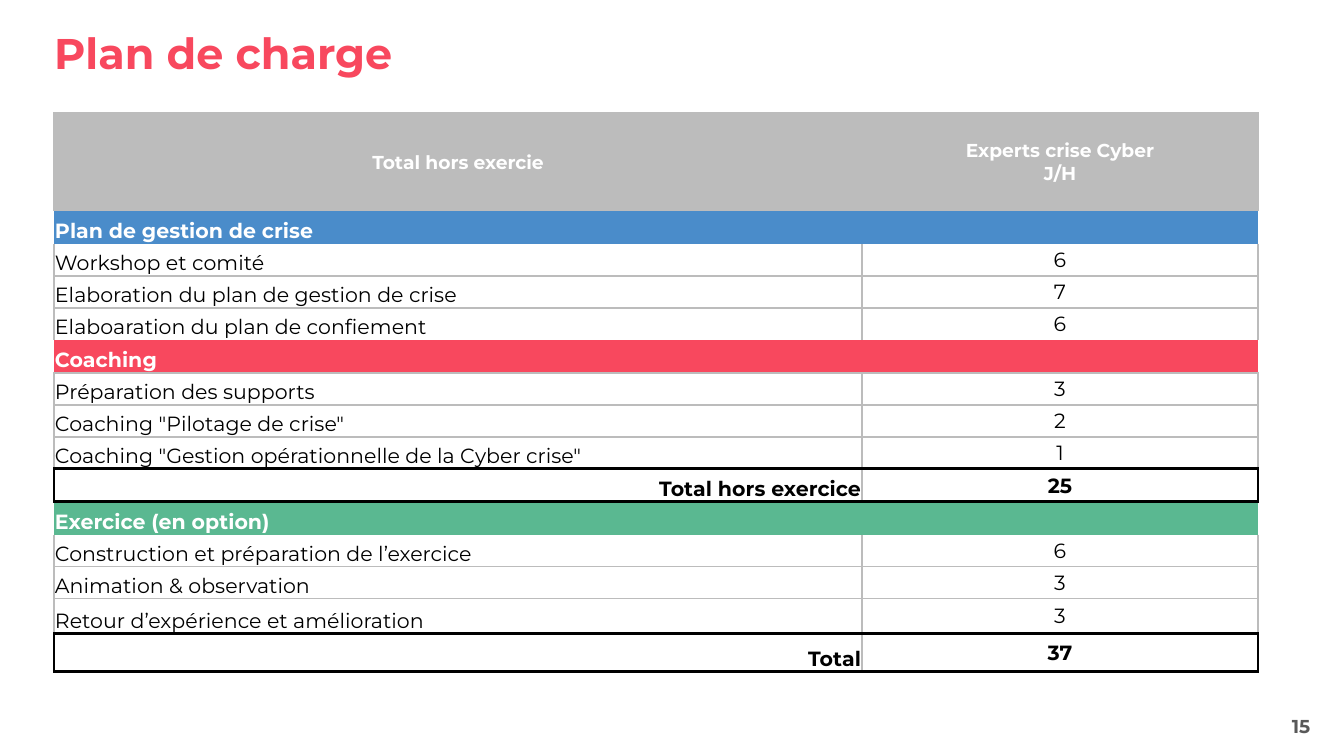
from dataclasses import dataclass

from lxml import etree
from pptx import Presentation
from pptx.dml.color import RGBColor
from pptx.enum.text import MSO_ANCHOR, MSO_AUTO_SIZE, PP_ALIGN
from pptx.oxml.ns import qn
from pptx.util import Pt

LEFT, MID, RIGHT = PP_ALIGN.LEFT, PP_ALIGN.CENTER, PP_ALIGN.RIGHT
TOP, CENTER, BOTTOM = MSO_ANCHOR.TOP, MSO_ANCHOR.MIDDLE, MSO_ANCHOR.BOTTOM
FIXED = MSO_AUTO_SIZE.NONE
SCALE = 914400 / 134.4
TITLE_ONLY = 5


def px(n):
    return round(n * SCALE)


@dataclass(frozen=True)
class Theme:
    font: str = "Montserrat"
    red: str = "F8485E"
    blue: str = "4A8CCA"
    green: str = "5AB891"
    gray: str = "BCBCBC"
    dark: str = "595959"
    black: str = "000000"
    white: str = "FFFFFF"
    big: int = 23
    body: int = 11
    small: int = 10


@dataclass(frozen=True)
class Row:
    kind: str
    label: str
    days: str = ""
    high: int = 32
    fill: str = ""
    ruled: bool = False


THEME = Theme()


def head(label, days):
    return Row("head", label, days, 98, THEME.gray)


def part(label, fill, ruled=False):
    return Row("part", label, "", 33, fill, ruled)


def task(label, days, high=32):
    return Row("task", label, days, high)


def total(label, days, high=33):
    return Row("total", label, days, high, THEME.white)


ROWS = [
    head("Total hors exercie", "Experts crise Cyber\nJ/H"),
    part("Plan de gestion de crise", THEME.blue),
    task("Workshop et comité", "6"),
    task("Elaboration du plan de gestion de crise", "7"),
    task("Elaboaration du plan de confiement", "6"),
    part("Coaching", THEME.red, ruled=True),
    task("Préparation des supports", "3"),
    task('Coaching "Pilotage de crise"', "2"),
    task('Coaching "Gestion opérationnelle de la Cyber crise"', "1"),
    total("Total hors exercice", "25"),
    part("Exercice (en option)", THEME.green),
    task("Construction et préparation de l’exercice", "6"),
    task("Animation & observation", "3"),
    task("Retour d’expérience et amélioration", "3", 35),
    total("Total", "37", 38),
]


def write(frame, text, size, color, bold=False, align=LEFT):
    """Fill a text frame, one paragraph per line of text."""
    for i, line in enumerate(text.split("\n")):
        para = frame.paragraphs[0] if i == 0 else frame.add_paragraph()
        para.alignment = align
        if not line:
            # Keeps an empty cell from stretching its row
            para._p.get_or_add_endParaRPr().set("sz", str(size * 100))
            continue
        run = para.add_run()
        run.text = line
        font = run.font
        font.name, font.size, font.bold = THEME.font, Pt(size), bold
        font.color.rgb = RGBColor.from_string(color)


def edge(above, below):
    """Colour of the line between two rows, or None."""
    kinds = {row.kind for row in (above, below) if row}
    if "total" in kinds:
        return THEME.black
    if "part" in kinds and not (above and above.ruled):
        return None
    return THEME.gray


def sides(row, col):
    """Colours of the left and right lines of a cell."""
    if row.kind == "part":
        return None, None
    outer = THEME.black if row.kind == "total" else THEME.gray
    return (outer, THEME.gray) if col == 0 else (THEME.gray, outer)


def border(cell, colors):
    """Draw left, right, top and bottom lines; None hides a line."""
    props = cell._tc.get_or_add_tcPr()
    for side, color in zip("LRTB", colors):
        width = Pt(1.5 if color == THEME.black else 1)
        line = etree.SubElement(props, qn(f"a:ln{side}"), w=str(width))
        if color:
            fill = etree.SubElement(line, qn("a:solidFill"))
            etree.SubElement(fill, qn("a:srgbClr"), val=color)
        else:
            etree.SubElement(line, qn("a:noFill"))


class Deck:
    def __init__(self):
        self.show = Presentation()
        self.show.slide_width, self.show.slide_height = px(1344), px(756)
        layout = self.show.slide_layouts[TITLE_ONLY]
        self.slide = self.show.slides.add_slide(layout)

    def frame(self, shape, anchor):
        frame = shape.text_frame
        frame.word_wrap, frame.auto_size = True, FIXED
        frame.vertical_anchor = anchor
        frame.margin_left = frame.margin_right = 0
        frame.margin_top = frame.margin_bottom = 0
        return frame

    def title(self, text, x, y, w, h):
        shape = self.slide.shapes.title
        shape.left, shape.top = px(x), px(y)
        shape.width, shape.height = px(w), px(h)
        write(self.frame(shape, TOP), text, THEME.big, THEME.red, bold=True)

    def label(self, text, x, y, w, h):
        box = self.slide.shapes.add_textbox(px(x), px(y), px(w), px(h))
        write(self.frame(box, CENTER), text, THEME.small, THEME.dark,
              bold=True, align=MID)

    def table(self, rows, x, y, cols):
        high = sum(row.high for row in rows)
        table = self.slide.shapes.add_table(
            len(rows), len(cols), px(x), px(y), px(sum(cols)), px(high)).table
        table.first_row = table.horz_banding = False
        for col, wide in zip(table.columns, cols):
            col.width = px(wide)
        for i, row in enumerate(rows):
            table.rows[i].height = px(row.high)
            above = rows[i - 1] if i else None
            below = rows[i + 1] if i + 1 < len(rows) else None
            for j in range(len(cols)):
                cell = table.cell(i, j)
                border(cell, (*sides(row, j), edge(above, row), edge(row, below)))
                self.cell(cell, row, j)

    def cell(self, cell, row, col):
        cell.margin_left = cell.margin_right = cell.margin_top = px(1)
        cell.margin_bottom = 0
        if row.fill:
            cell.fill.solid()
            cell.fill.fore_color.rgb = RGBColor.from_string(row.fill)
        else:
            cell.fill.background()
        first = col == 0 and row.kind != "head"
        cell.vertical_anchor = BOTTOM if first else CENTER
        align = MID
        if first:
            align = RIGHT if row.kind == "total" else LEFT
        write(cell.text_frame, row.days if col else row.label,
              THEME.small if row.kind == "head" else THEME.body,
              THEME.white if row.kind in ("head", "part") else THEME.black,
              bold=row.kind != "task", align=align)


def main():
    deck = Deck()
    deck.title("Plan de charge", 54, 27, 988, 56)
    deck.table(ROWS, 54, 113, (808, 396))
    deck.label("15", 1258, 715, 86, 22)
    deck.show.save("out.pptx")


if __name__ == "__main__":
    main()
